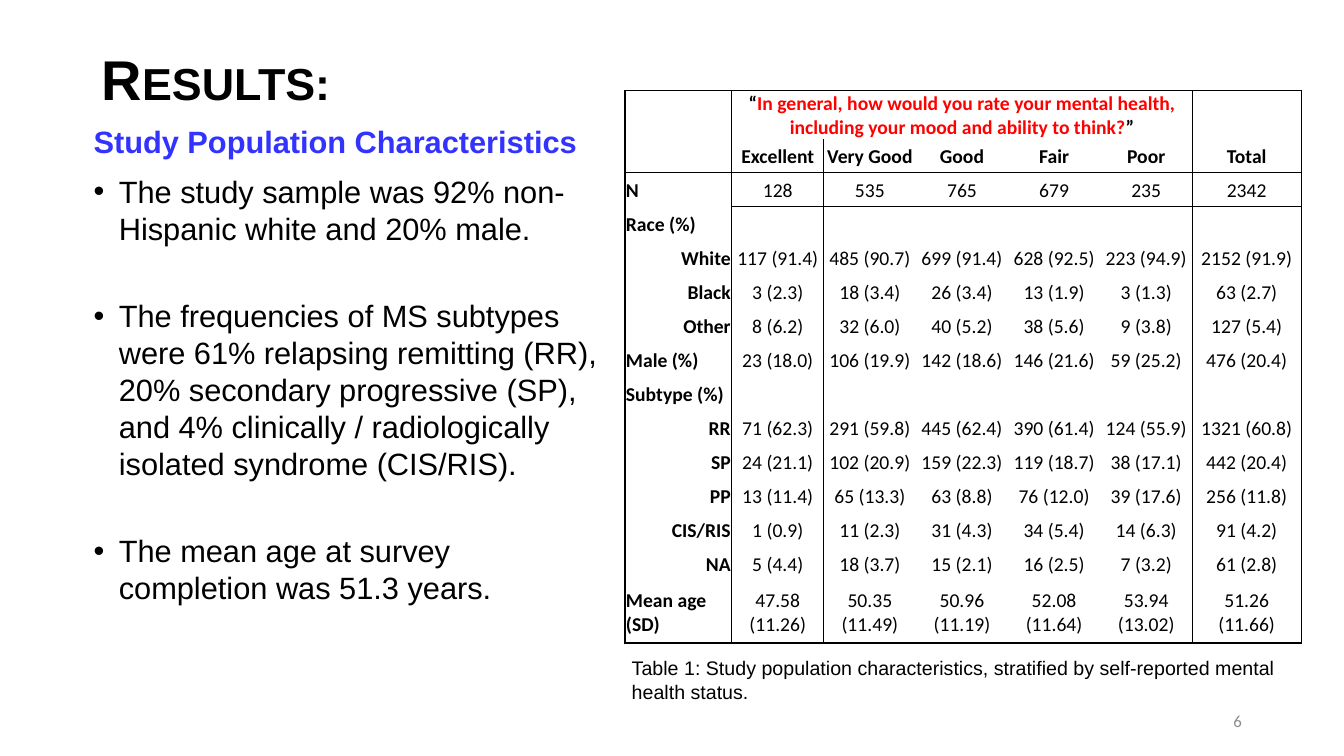
from lxml.etree import SubElement
from pptx import Presentation
from pptx.dml.color import RGBColor
from pptx.enum.text import MSO_ANCHOR, PP_ALIGN
from pptx.oxml.ns import qn
from pptx.util import Pt

COLORS = {"black": "000000", "blue": "3333FF", "red": "FF0000", "gray": "8C8C8C"}

QUESTION = [
    ("“", "black"),
    ("In general, how would you rate your mental health, "
     "including your mood and ability to think?", "red"),
    ("”", "black"),
]
ROWS = [
    ["", "Excellent", "Very Good", "Good", "Fair", "Poor", "Total"],
    ["N", "128", "535", "765", "679", "235", "2342"],
    ["Race (%)"],
    ["White", "117 (91.4)", "485 (90.7)", "699 (91.4)", "628 (92.5)", "223 (94.9)", "2152 (91.9)"],
    ["Black", "3 (2.3)", "18 (3.4)", "26 (3.4)", "13 (1.9)", "3 (1.3)", "63 (2.7)"],
    ["Other", "8 (6.2)", "32 (6.0)", "40 (5.2)", "38 (5.6)", "9 (3.8)", "127 (5.4)"],
    ["Male (%)", "23 (18.0)", "106 (19.9)", "142 (18.6)", "146 (21.6)", "59 (25.2)", "476 (20.4)"],
    ["Subtype (%)"],
    ["RR", "71 (62.3)", "291 (59.8)", "445 (62.4)", "390 (61.4)", "124 (55.9)", "1321 (60.8)"],
    ["SP", "24 (21.1)", "102 (20.9)", "159 (22.3)", "119 (18.7)", "38 (17.1)", "442 (20.4)"],
    ["PP", "13 (11.4)", "65 (13.3)", "63 (8.8)", "76 (12.0)", "39 (17.6)", "256 (11.8)"],
    ["CIS/RIS", "1 (0.9)", "11 (2.3)", "31 (4.3)", "34 (5.4)", "14 (6.3)", "91 (4.2)"],
    ["NA", "5 (4.4)", "18 (3.7)", "15 (2.1)", "16 (2.5)", "7 (3.2)", "61 (2.8)"],
    ["Mean age (SD)", "47.58 (11.26)", "50.35 (11.49)", "50.96 (11.19)", "52.08 (11.64)",
     "53.94 (13.02)", "51.26\n(11.66)"],
]
SUBGROUPS = {"White", "Black", "Other", "RR", "SP", "PP", "CIS/RIS", "NA"}
COLUMN_WIDTHS = [76.3] + [65.8] * 5 + [77.8]
ROW_HEIGHTS = [34.4] + [24.3] * 13 + [44.3]

FINDINGS = [
    ("The study sample was 92% non-Hispanic white and 20% male.", 9.3),
    ("The frequencies of MS subtypes were 61% relapsing remitting (RR), 20% secondary "
     "progressive (SP), and 4% clinically / radiologically isolated syndrome (CIS/RIS).", 36),
    ("The mean age at survey completion was 51.3 years.", 36),
]


def add_span(para, text, size, color="black", bold=False, name="Arial"):
    span = para.add_run()
    span.text = text
    for attribute, value in {"size": Pt(size), "bold": bold, "name": name}.items():
        setattr(span.font, attribute, value)
    span.font.color.rgb = RGBColor.from_string(COLORS[color])
    return span


def place(shape, left, top, width, height):
    for side, value in zip(("left", "top", "width", "height"), (left, top, width, height)):
        setattr(shape, side, Pt(value))


def add_box(slide, *bounds, anchor=MSO_ANCHOR.TOP):
    frame = slide.shapes.add_textbox(*map(Pt, bounds)).text_frame
    frame.word_wrap = True
    frame.vertical_anchor = anchor
    return frame


def add_title(slide):
    title = slide.shapes.title
    place(title, 65.5, 8.6, 862.6, 75.6)
    title.text_frame.vertical_anchor = MSO_ANCHOR.BOTTOM
    para = title.text_frame.paragraphs[0]
    para.alignment = PP_ALIGN.LEFT
    para.line_spacing = 0.9
    span = add_span(para, "Results:", 40, bold=True)
    span._r.get_or_add_rPr().set("cap", "small")


def add_findings(slide):
    frame = add_box(slide, 59.8, 84.2, 380.9, 448.6)
    add_span(frame.paragraphs[0], "Study Population Characteristics", 22, "blue", True)
    for text, gap in FINDINGS:
        para = frame.add_paragraph()
        para.space_before = Pt(gap)
        add_span(para, text, 22)
        properties = para._p.get_or_add_pPr()
        properties.set("marL", str(Pt(18)))
        properties.set("indent", str(Pt(-18)))
        SubElement(properties, qn("a:buFont"), typeface="Arial")
        SubElement(properties, qn("a:buChar"), char="•")


def is_ruled_column(edge, row):
    return edge in (0, 1, 6, 7) or (edge == 2 and row > 0)


def is_ruled_row(edge, column):
    return edge in (0, 2, len(ROW_HEIGHTS)) or (edge == 3 and column > 0)


def set_borders(cell, row, column):
    right = column + (cell.span_width if cell.is_merge_origin else 1)
    borders = {
        "a:lnL": is_ruled_column(column, row),
        "a:lnR": is_ruled_column(right, row),
        "a:lnT": is_ruled_row(row, column),
        "a:lnB": is_ruled_row(row + 1, column),
    }
    properties = cell._tc.get_or_add_tcPr()
    for tag, ruled in borders.items():
        line = SubElement(properties, qn(tag), w=str(Pt(1) if ruled else 0))
        if ruled:
            fill = SubElement(line, qn("a:solidFill"))
            SubElement(fill, qn("a:srgbClr"), val=COLORS["black"])
        else:
            SubElement(line, qn("a:noFill"))


def fill_cell(cell, text, bold, alignment):
    frame = cell.text_frame
    for index, line in enumerate(text.split("\n")):
        para = frame.add_paragraph() if index else frame.paragraphs[0]
        para.alignment = alignment
        add_span(para, line, 14, bold=bold, name="Calibri")


def add_characteristics_table(slide):
    frame = slide.shapes.add_table(
        len(ROW_HEIGHTS), len(COLUMN_WIDTHS), Pt(446.4), Pt(64.8),
        Pt(sum(COLUMN_WIDTHS)), Pt(sum(ROW_HEIGHTS)))
    table = frame.table
    table.first_row = table.horz_banding = False
    for column, width in zip(table.columns, COLUMN_WIDTHS):
        column.width = Pt(width)
    for row, height in zip(table.rows, ROW_HEIGHTS):
        row.height = Pt(height)

    question = table.cell(0, 1)
    question.merge(table.cell(0, 5))
    para = question.text_frame.paragraphs[0]
    para.alignment = PP_ALIGN.CENTER
    for text, color in QUESTION:
        add_span(para, text, 14, color, True, "Calibri")

    cell_format = {"margin_left": Pt(0.72), "margin_right": Pt(0.72), "margin_top": Pt(0.72),
                   "margin_bottom": 0, "vertical_anchor": MSO_ANCHOR.MIDDLE}
    for row in range(len(ROW_HEIGHTS)):
        for column in range(len(COLUMN_WIDTHS)):
            cell = table.cell(row, column)
            for attribute, value in cell_format.items():
                setattr(cell, attribute, value)
            set_borders(cell, row, column)
            cell.fill.background()

    for row, values in enumerate(ROWS, start=1):
        for column, text in enumerate(values):
            if not text:
                continue
            alignment = PP_ALIGN.CENTER
            if column == 0:
                alignment = PP_ALIGN.RIGHT if text in SUBGROUPS else PP_ALIGN.LEFT
            fill_cell(table.cell(row, column), text, row == 1 or column == 0, alignment)


def add_caption(slide):
    frame = add_box(slide, 444.2, 465.1, 484.6, 41)
    add_span(frame.paragraphs[0], "Table 1: Study population characteristics, "
             "stratified by self-reported mental health status.", 14)


def add_page_number(slide):
    frame = add_box(slide, 678.2, 500.4, 216, 28.8, anchor=MSO_ANCHOR.MIDDLE)
    para = frame.paragraphs[0]
    para.alignment = PP_ALIGN.RIGHT
    add_span(para, "6", 12, "gray", name="Calibri")


def main():
    deck = Presentation()
    deck.slide_width, deck.slide_height = Pt(960), Pt(540)
    slide = deck.slides.add_slide(deck.slide_layouts[5])
    add_title(slide)
    add_page_number(slide)
    add_characteristics_table(slide)
    add_findings(slide)
    add_caption(slide)
    deck.save("out.pptx")


if __name__ == "__main__":
    main()
